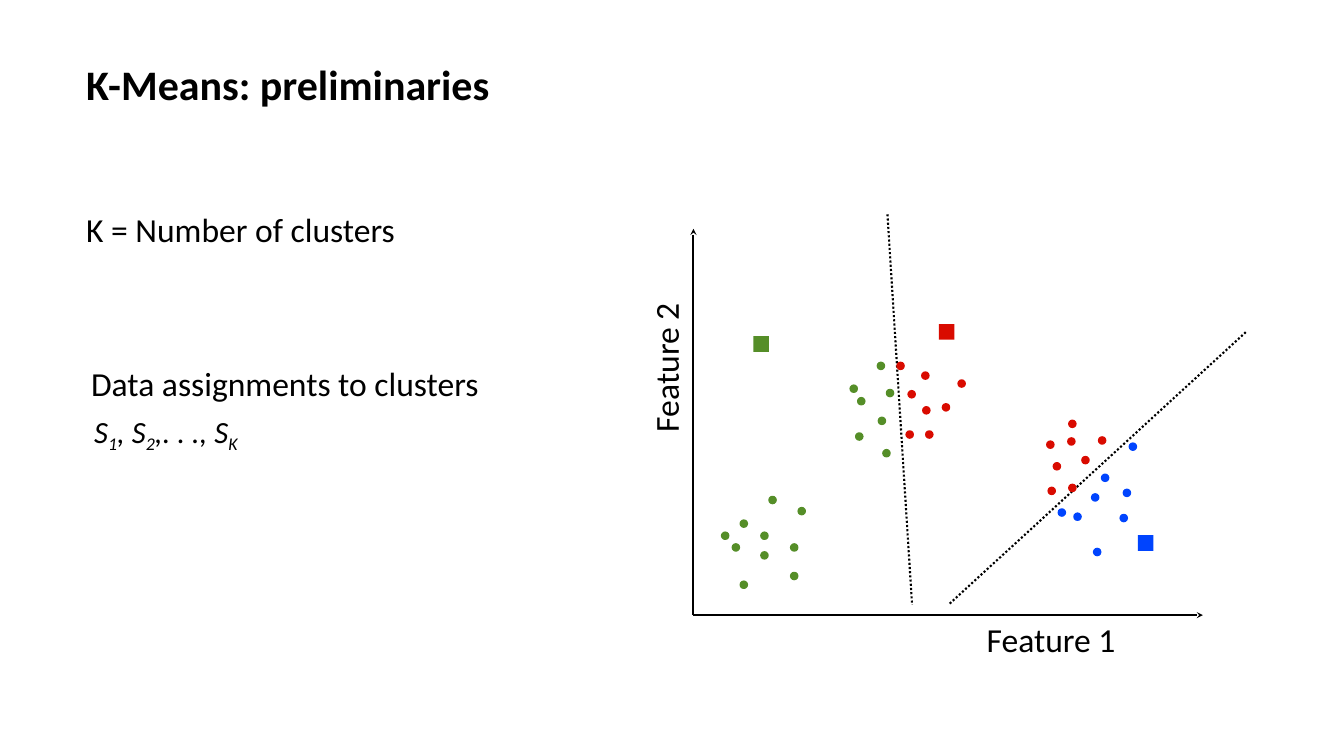
"""Build the K-Means preliminaries slide with its cluster scatter."""
import lxml.etree
import pptx
import pptx.dml.color
import pptx.enum.dml
import pptx.enum.shapes
import pptx.enum.text
import pptx.oxml.ns
import pptx.util

Cm = pptx.util.Cm
Pt = pptx.util.Pt
qn = pptx.oxml.ns.qn
hues = {"ink": "000000", "green": "558E28", "red": "D90B00", "blue": "0044FE"}
tint = {name: pptx.dml.color.RGBColor.from_string(code) for name, code in hues.items()}

deck = pptx.Presentation()
deck.slide_width, deck.slide_height = Cm(67.74), Cm(38.1)
slide = deck.slides.add_slide(deck.slide_layouts[6])


def add_line(start, end, dotted):
    line = slide.shapes.add_connector(
        pptx.enum.shapes.MSO_CONNECTOR.STRAIGHT, *map(Cm, start + end))
    line.line.color.rgb = tint["ink"]
    line.line.width = Pt(3)
    if dotted:
        line.line.dash_style = pptx.enum.dml.MSO_LINE.ROUND_DOT
    else:
        tail = lxml.etree.SubElement(line.line._get_or_add_ln(), qn("a:tailEnd"))
        tail.set("type", "stealth")
    lxml.etree.SubElement(line._element.spPr, qn("a:effectLst"))


def add_text(place, parts, size, inset=True, middle=False):
    box = slide.shapes.add_textbox(*map(Cm, place))
    frame = box.text_frame
    frame.word_wrap = True
    if not inset:
        frame.margin_left = frame.margin_right = 0
        frame.margin_top = frame.margin_bottom = 0
    if middle:
        frame.vertical_anchor = pptx.enum.text.MSO_ANCHOR.MIDDLE
    for part in parts:
        run = frame.paragraphs[0].add_run()
        run.text = part
        run.font.name = "Calibri"
        run.font.size = Pt(size)
        run.font.color.rgb = tint["ink"]
    return box


add_line((62.79, 16.74), (47.8, 30.48), True)
add_line((44.73, 10.8), (45.97, 30.48), True)
zero = (34.95, 31)
for tip in ((34.95, 11.53), (60.63, 31)):
    add_line(zero, tip, False)

title = add_text((4.34, 2.82, 48.36, 2.82), ["K-Means: preliminaries"], 60, False, True)
title.text_frame.paragraphs[0].runs[0].font.bold = True
add_text((49.73, 30.99, 17.98, 2.44), ["Feature 1"], 48, False, True)
label = add_text((27.91, 14.94, 11.25, 2.44), ["Feature 2"], 48, False, True)
label.rotation = 270
add_text((4.34, 10.52, 27, 3.33), ["K = Number of clusters"], 48, False)
add_text((4.34, 18.16, 24.13, 2.31), ["Data assignments to clusters"], 48)

sets = add_text((4.5, 20.65, 20.96, 2.13), ["S", "1", ", S", "2", ",. . ., S", "K"], 44)
runs = sets.text_frame.paragraphs[0].runs
for run in runs:
    run.font.italic = True
for run in runs[1::2]:
    run.font._element.set("baseline", "-25000")

dots = {
    "green": [
        (44.22, 18.26), (42.85, 19.41), (43.23, 20.04), (44.68, 19.63),
        (44.27, 21.03), (43.13, 21.82), (44.5, 22.66), (36.37, 26.82),
        (37.31, 26.21), (36.91, 27.41), (38.35, 26.82), (38.35, 27.81),
        (39.85, 27.41), (37.31, 29.29), (39.85, 28.85), (38.76, 25.02),
        (40.23, 25.58)],
    "red": [
        (45.77, 19.69), (45.21, 18.26), (45.67, 21.72), (46.51, 20.5),
        (46.46, 18.75), (47.5, 20.35), (46.66, 21.72), (48.29, 19.15),
        (53.87, 21.18), (53.82, 22.07), (52.76, 22.23), (55.37, 22.02),
        (54.53, 23.01), (53.09, 23.32), (53.87, 24.41), (52.83, 24.56)],
    "blue": [
        (55.52, 23.9), (53.34, 25.65), (55.02, 24.89), (56.62, 24.66),
        (54.13, 25.86), (56.46, 25.93), (56.92, 22.33), (55.12, 27.64)],
}
means = {"green": [(37.97, 16.94)], "red": [(47.32, 16.33)], "blue": [(57.35, 26.97)]}

kinds = pptx.enum.shapes.MSO_SHAPE
for kind, side, groups in ((kinds.OVAL, 0.36, dots), (kinds.RECTANGLE, 0.79, means)):
    for hue, spots in groups.items():
        for left, top in spots:
            mark = slide.shapes.add_shape(kind, Cm(left), Cm(top), Cm(side), Cm(side))
            mark.shadow.inherit = False
            mark.fill.solid()
            mark.fill.fore_color.rgb = tint[hue]
            if kind == kinds.OVAL:
                mark.line.color.rgb = tint[hue]
                mark.line.width = Pt(2)
            else:
                mark.line.fill.background()

deck.save("out.pptx")
